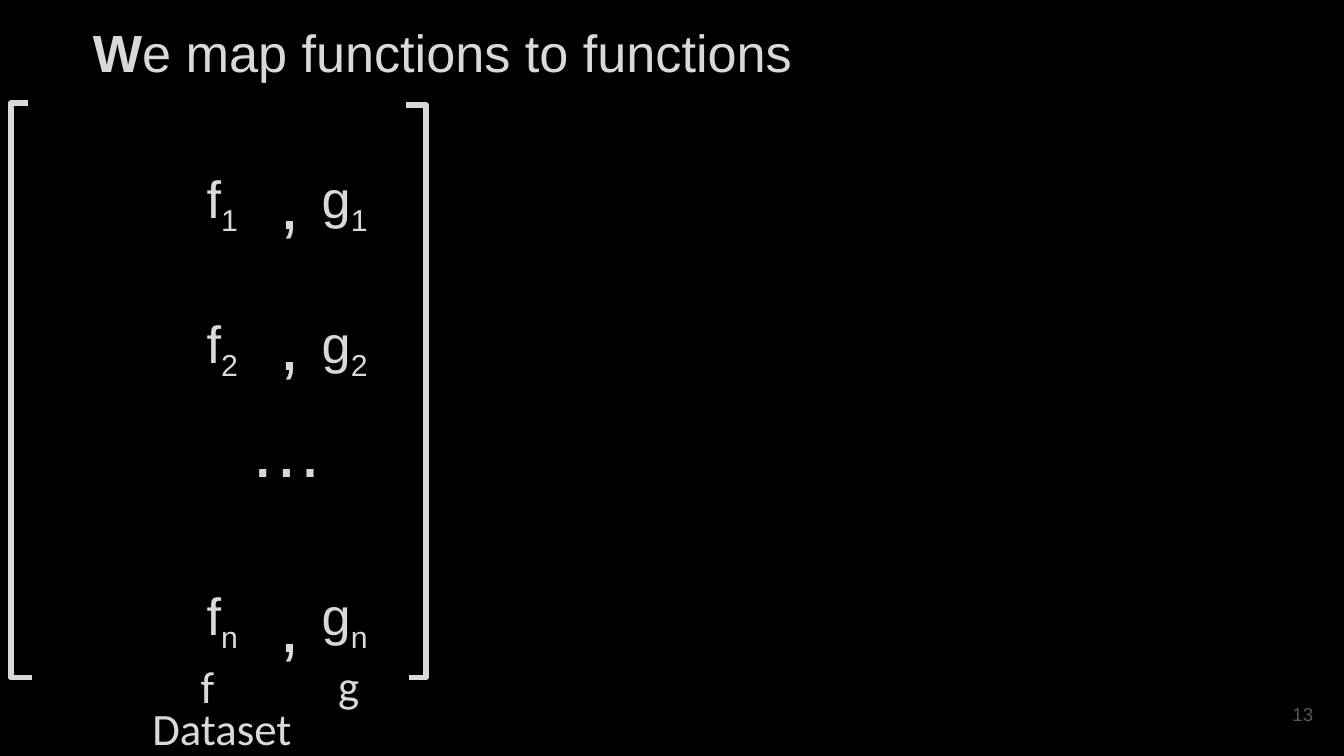
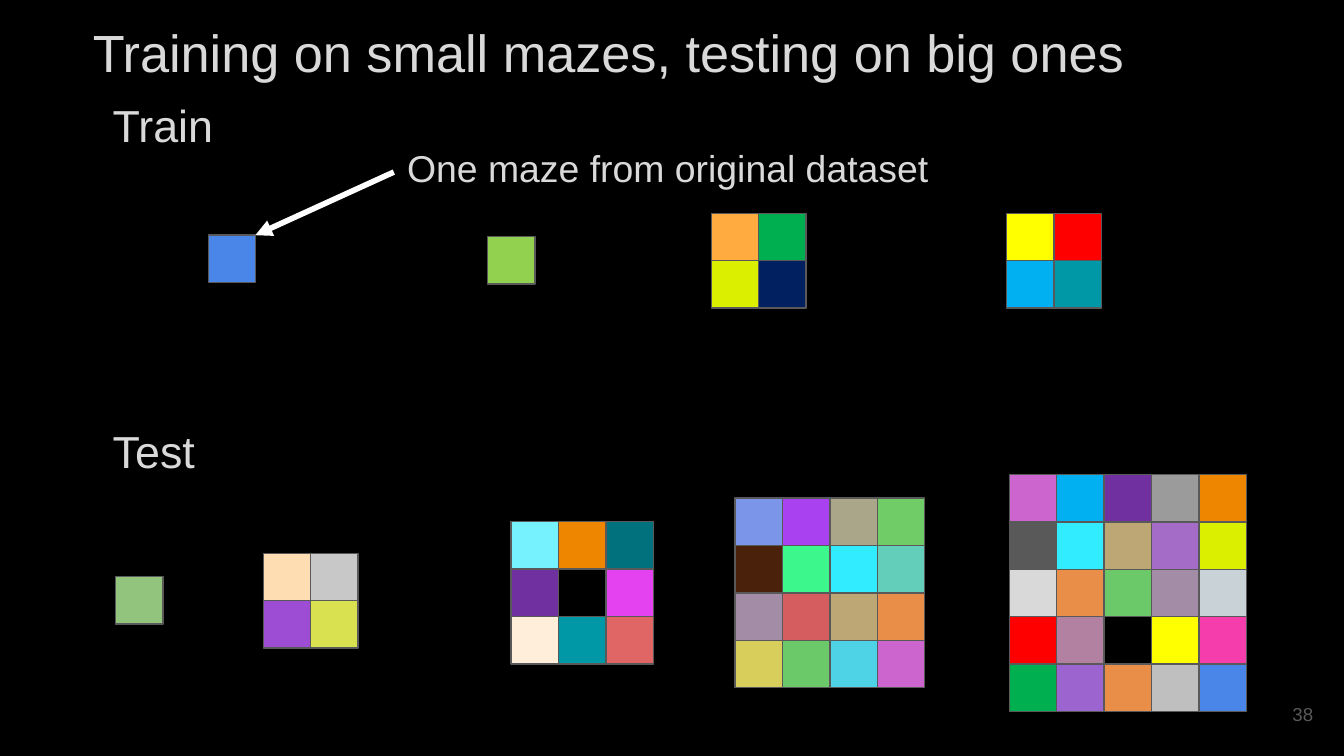
from lxml import etree
from pptx import Presentation
from pptx import util as u
from pptx.dml import color
from pptx.enum import dml, shapes, text
from pptx.oxml import ns

Pt = u.Pt
RGB = color.RGBColor
BLACK = RGB(0x00, 0x00, 0x00)
WHITE = RGB(0xFF, 0xFF, 0xFF)
LIGHT = RGB(0xD9, 0xD9, 0xD9)
GREY = RGB(0x59, 0x59, 0x59)
TILE = 25.4
LEFT, CENTER, RIGHT = text.PP_ALIGN.LEFT, text.PP_ALIGN.CENTER, text.PP_ALIGN.RIGHT
TOP, MIDDLE = text.MSO_ANCHOR.TOP, text.MSO_ANCHOR.MIDDLE


def colour_rows(*rows):
    return [[RGB.from_string(code) for code in row.split()] for row in rows]


TRAIN_MAZES = [
    (111.6, 126, colour_rows("4A86E8")),
    (261.2, 126.7, colour_rows("92D050")),
    (381.1, 114.3, colour_rows("FFAB40 00B050", "DBF000 002060")),
    (539.2, 114.3, colour_rows("FFFF00 FF0000", "00B0F0 0097A7")),
]
TEST_MAZES = [
    (62, 309, colour_rows("93C47D")),
    (141.1, 296.4, colour_rows("FFDDB3 C8C8C8", "9D4DD3 DAE151")),
    (273.8, 279.5, colour_rows("76F2FF EF8600 00717D",
                               "7030A0 000000 E441F1",
                               "FFEED9 0097A7 E06666")),
    (393.8, 266.9, colour_rows("7B95E8 AA41F1 A9A689 70CC66",
                               "4A220B 3BF78C 31EBFF 63CFBA",
                               "A28CA6 D55D60 BDA775 E98E49",
                               "D7CE5B 6BC969 4DD3E5 CC66CE")),
    (540.7, 254.2, colour_rows("CC66CE 00B0F0 7030A0 9B9B9B EF8600",
                               "595959 31EBFF BDA775 A46BC7 DBF000",
                               "D9D9D9 E98E49 6BC969 A28CA6 C9D3D7",
                               "FF0000 B280A1 000000 FFFF00 F53DAB",
                               "00B050 9C64CE E98E49 BFBFBF 4A86E8")),
]


def write(para, words, *, size=28, font="Arial", colour=LIGHT, bold=False, baseline=None):
    span = para.add_run()
    span.text = words
    span.font.size = Pt(size)
    span.font.name = font
    span.font.bold = bold
    span.font.color.rgb = colour
    if baseline:
        span._r.get_or_add_rPr().set("baseline", str(baseline * 1000))


class Slides:
    def __init__(self):
        self.deck = Presentation()
        self.deck.slide_width, self.deck.slide_height = Pt(720), Pt(405)
        fill = self.deck.slide_master.background.fill
        fill.solid()
        fill.fore_color.rgb = BLACK
        self.page = None

    def frame(self, box, inset=7.2, anchor=TOP, align=LEFT, wrap=True):
        frame = box.text_frame
        frame.auto_size = text.MSO_AUTO_SIZE.NONE
        frame.word_wrap = wrap
        frame.vertical_anchor = anchor
        frame.margin_left = frame.margin_right = Pt(7.2)
        frame.margin_top = frame.margin_bottom = Pt(inset)
        para = frame.paragraphs[0]
        para.alignment = align
        return para

    def start(self, number, *title):
        self.page = self.deck.slides.add_slide(self.deck.slide_layouts[5])
        box = self.page.shapes.title
        box.left, box.top, box.width, box.height = Pt(42.5), Pt(3.6), Pt(671), Pt(45.4)
        para = self.frame(box)
        for words, bold in title:
            write(para, words, bold=bold)
        self.label(number, 667.4, 367.2, 43.2, 31, anchor=MIDDLE, align=RIGHT,
                   size=10, colour=GREY)

    def box(self, left, top, width, height, **layout):
        box = self.page.shapes.add_textbox(Pt(left), Pt(top), Pt(width), Pt(height))
        return self.frame(box, **layout)

    def label(self, words, left, top, width, height, *, inset=7.2, anchor=TOP,
              align=LEFT, wrap=True, **style):
        para = self.box(left, top, width, height, inset=inset, anchor=anchor,
                        align=align, wrap=wrap)
        write(para, words, **style)

    def pair(self, index, top):
        para = self.box(103.7, top, 113, 41, inset=3.6)
        tabs = etree.SubElement(para._p.get_or_add_pPr(), ns.qn("a:tabLst"))
        etree.SubElement(tabs, ns.qn("a:tab"), pos=str(Pt(61.6)), algn="l")
        write(para, "f")
        write(para, index + "\t", baseline=-25)
        write(para, "g")
        write(para, index, baseline=-25)

    def bracket(self, *points):
        corners = [(Pt(x), Pt(y)) for x, y in points]
        builder = self.page.shapes.build_freeform(*corners[0])
        builder.add_line_segments(corners[1:], close=False)
        shape = builder.convert_to_shape()
        shape.shadow.inherit = False
        shape.fill.background()
        shape.line.color.rgb = LIGHT
        shape.line.width = Pt(3)

    def maze(self, left, top, rows):
        group = self.page.shapes.add_group_shape()
        for row, colours in enumerate(rows):
            for column, colour in enumerate(colours):
                tile = group.shapes.add_shape(
                    shapes.MSO_SHAPE.RECTANGLE, Pt(left + column * TILE),
                    Pt(top + row * TILE), Pt(TILE), Pt(TILE))
                tile.shadow.inherit = False
                tile.fill.solid()
                tile.fill.fore_color.rgb = colour
                tile.line.color.rgb = GREY
                tile.line.width = Pt(0.75)

    def arrow(self, *ends):
        line = self.page.shapes.add_connector(
            shapes.MSO_CONNECTOR.STRAIGHT, *(Pt(end) for end in ends))
        line.line.color.rgb = WHITE
        line.line.width = Pt(3)
        line.line.dash_style = dml.MSO_LINE.SOLID
        etree.SubElement(line.line._get_or_add_ln(), ns.qn("a:tailEnd"), type="triangle")
        etree.SubElement(line._element.spPr, ns.qn("a:effectLst"))


def dataset_slide(slides):
    slides.start("13", ("W", True), ("e map functions to functions", False))
    slides.bracket((15.1, 55.2), (5.8, 55.2), (5.8, 363), (16.9, 363))
    slides.bracket((219.4, 363), (228.2, 363), (228.2, 56.2), (217.4, 56.2))
    for index, top, comma_top in (("1", 85.7, 75.6), ("2", 163.4, 151.2), ("n", 309, 302.4)):
        slides.label(",", 142.6, comma_top, 67.7, 54.7, size=40)
        slides.pair(index, top)
    slides.label("…", 126.7, 208.8, 67.7, 54.7, size=40)
    for words, left, top, width in (("Dataset", 13, 368, 211.7),
                                    ("f", 72.7, 345.6, 77),
                                    ("g", 148.3, 345, 77)):
        slides.label(words, left, top, width, 30.5, align=CENTER, size=24, font="Calibri")


def maze_slide(slides):
    slides.start("38", ("Training on small mazes, testing on big ones", False))
    for words, top, mazes in (("Train", 45.4, TRAIN_MAZES), ("Test", 219.6, TEST_MAZES)):
        slides.label(words, 53.3, top, 243.4, 28, size=24)
        for maze in mazes:
            slides.maze(*maze)
    slides.arrow(211, 92.2, 136.8, 126)
    slides.label("One maze from original dataset", 211, 74.2, 297.4, 31.7,
                 inset=3.6, wrap=False, size=20)


def main():
    slides = Slides()
    dataset_slide(slides)
    maze_slide(slides)
    slides.deck.save("out.pptx")


if __name__ == "__main__":
    main()
